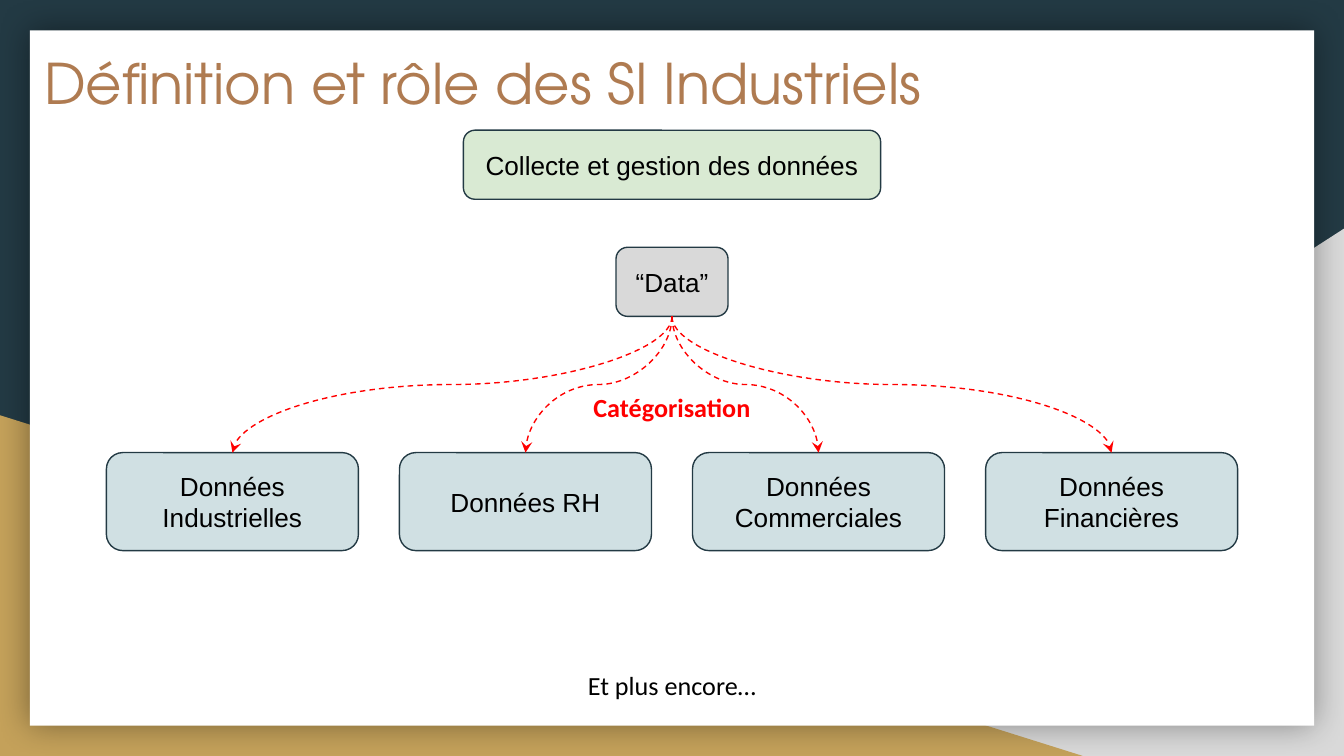
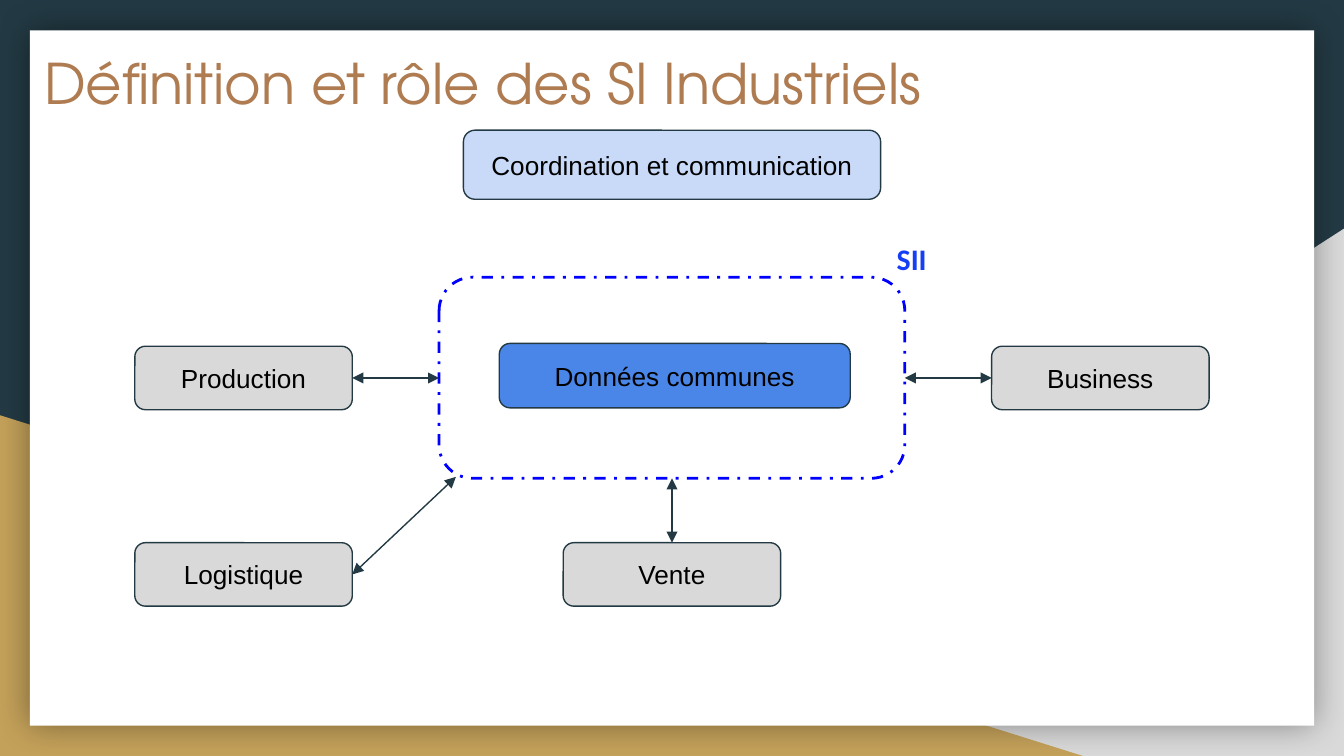
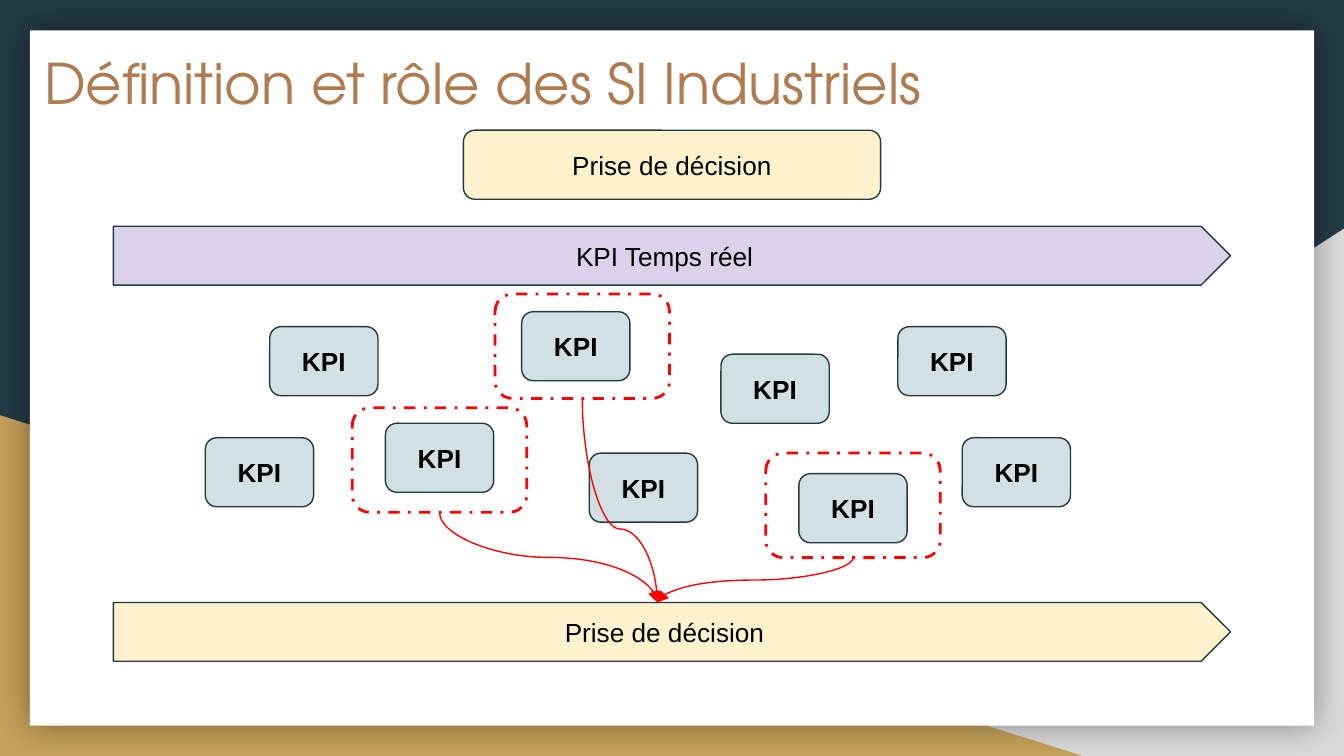
from lxml import etree
from pptx import Presentation
from pptx.dml.color import RGBColor
from pptx.enum import dml, shapes, text
from pptx.oxml.ns import qn
from pptx.util import Pt

NAVY = RGBColor(0x23, 0x3A, 0x44)
GOLD = RGBColor(0xC4, 0xA1, 0x5A)
BROWN = RGBColor(0xAF, 0x7B, 0x51)
GREY = RGBColor(0xD9, 0xD9, 0xD9)
WHITE = RGBColor(0xFF, 0xFF, 0xFF)
BLACK = RGBColor(0x00, 0x00, 0x00)
RED = RGBColor(0xFF, 0x00, 0x00)
BLUE = RGBColor(0x00, 0x00, 0xFF)
LABEL_BLUE = RGBColor(0x16, 0x3E, 0xF5)
CORE_BLUE = RGBColor(0x4A, 0x86, 0xE8)
PALE_BLUE = RGBColor(0xC9, 0xDA, 0xF8)
PALE_TEAL = RGBColor(0xD0, 0xE0, 0xE3)
PALE_GREEN = RGBColor(0xD9, 0xEA, 0xD3)
PALE_YELLOW = RGBColor(0xFF, 0xF2, 0xCC)
PALE_PURPLE = RGBColor(0xD9, 0xD2, 0xE9)

TITLE = "Définition et rôle des SI Industriels"
TITLE_FONT, BOX_FONT, LABEL_FONT = "TeX Gyre Adventor", "Arial", "Calibri"
WIDTH, HEIGHT = 720, 405
MARGIN = 7.2
TOP_SITE, BOTTOM_SITE = 0, 2
RECTANGLE = shapes.MSO_SHAPE.RECTANGLE
ROUNDED = shapes.MSO_SHAPE.ROUNDED_RECTANGLE
PENTAGON = shapes.MSO_SHAPE.PENTAGON
TRIANGLE = shapes.MSO_SHAPE.RIGHT_TRIANGLE
CENTER = text.PP_ALIGN.CENTER


def points(*lengths):
    return [Pt(length) for length in lengths]


def add_xml(parent, tag, **attributes):
    names = {name: str(value) for name, value in attributes.items()}
    return etree.SubElement(parent, qn(tag), names)


def write(shape, words, font, size, color, bold=False, align=CENTER):
    frame = shape.text_frame
    frame.word_wrap = True
    frame.margin_left = frame.margin_right = Pt(MARGIN)
    frame.margin_top = frame.margin_bottom = Pt(MARGIN)
    frame.text = words
    paragraph = frame.paragraphs[0]
    paragraph.alignment = align
    run_font = paragraph.runs[0].font
    run_font.name, run_font.size, run_font.bold = font, Pt(size), bold
    run_font.color.rgb = color


def add_plain(slide, kind, area, fill):
    """Add a filled preset shape without outline or shadow."""
    shape = slide.shapes.add_shape(kind, *points(*area))
    shape.shadow.inherit = False
    shape.fill.solid()
    shape.fill.fore_color.rgb = fill
    shape.line.fill.background()
    return shape


def add_box(slide, area, words, fill, kind=ROUNDED, bold=False):
    box = add_plain(slide, kind, area, fill)
    box.line.color.rgb = NAVY
    box.line.width = Pt(0.75)
    box.text_frame.vertical_anchor = text.MSO_ANCHOR.MIDDLE
    write(box, words, BOX_FONT, 14, BLACK, bold)
    return box


def add_frame(slide, area, color):
    """Add an unfilled rounded frame with a dash-dot outline."""
    frame = slide.shapes.add_shape(ROUNDED, *points(*area))
    frame.shadow.inherit = False
    frame.fill.background()
    frame.line.color.rgb = color
    frame.line.width = Pt(1.5)
    frame.line.dash_style = dml.MSO_LINE.DASH_DOT
    return frame


def add_label(slide, area, words, color, size=14, bold=True, align=CENTER):
    label = slide.shapes.add_textbox(*points(*area))
    write(label, words, LABEL_FONT, size, color, bold, align)
    label.text_frame.auto_size = text.MSO_AUTO_SIZE.SHAPE_TO_FIT_TEXT


def style_connector(connector, color, tail, head=None, dash=None):
    connector.line.color.rgb = color
    connector.line.width = Pt(0.75)
    if dash:
        connector.line.dash_style = dash
    properties = connector.element.spPr
    line = properties.find(qn("a:ln"))
    if head:
        add_xml(line, "a:headEnd", type=head)
    add_xml(line, "a:tailEnd", type=tail)
    add_xml(properties, "a:effectLst")


def add_double_arrow(slide, start, end):
    arrow = slide.shapes.add_connector(shapes.MSO_CONNECTOR.STRAIGHT, *points(*start, *end))
    style_connector(arrow, NAVY, "triangle", head="triangle")


def add_curve(slide, source, target, tail, end_x=None, bend=0.5, dash=None):
    """Join the bottom of source to the top of target, at end_x or its middle."""
    curve = slide.shapes.add_connector(shapes.MSO_CONNECTOR.CURVE, 0, 0, 0, 0)
    curve.begin_connect(source, BOTTOM_SITE)
    curve.end_connect(target, TOP_SITE)
    x1, y1 = source.left + source.width // 2, source.top + source.height
    x2, y2 = end_x or target.left + target.width // 2, target.top
    # The preset runs sideways, so it is laid out horizontally and turned.
    curve.width, curve.height = y2 - y1, abs(x2 - x1)
    curve.left = (x1 + x2 - curve.width) // 2
    curve.top = (y1 + y2 - curve.height) // 2
    transform = curve.element.spPr.xfrm
    rightward = x2 > x1
    transform.set("rot", str((270 if rightward else 90) * 60000))
    transform.set("flipH", str(int(rightward)))
    transform.set("flipV", "0")
    guides = curve.element.spPr.find(qn("a:prstGeom")).get_or_add_avLst()
    add_xml(guides, "a:gd", name="adj1", fmla=f"val {round(bend * 100000)}")
    style_connector(curve, RED, tail, dash=dash)


def add_base_slide(presentation, heading, heading_fill):
    """Add a slide with the coloured corners, white card, title and heading."""
    slide = presentation.slides.add_slide(presentation.slide_layouts[6])
    slide.background.fill.solid()
    slide.background.fill.fore_color.rgb = NAVY
    right_corner = add_plain(slide, TRIANGLE, (282.25, 122.5, 437.75, 282.5), GREY)
    right_corner.element.spPr.xfrm.set("flipH", "1")
    add_plain(slide, TRIANGLE, (0, 222.5, 580, 182.5), GOLD)
    card = add_plain(slide, RECTANGLE, (16, 16.25, 688, 372.5), WHITE)
    effects = card.element.spPr.find(qn("a:effectLst"))
    shadow = add_xml(effects, "a:outerShdw", blurRad=Pt(18), dist=0, dir=0, rotWithShape=0)
    add_xml(add_xml(shadow, "a:srgbClr", val=BLACK), "a:alpha", val=40000)
    title = slide.shapes.add_textbox(*points(16.5, 19, 591, 75))
    write(title, TITLE, TITLE_FONT, 30, BROWN, align=text.PP_ALIGN.LEFT)
    add_box(slide, (248.25, 69.75, 223.5, 37), heading, heading_fill)
    return slide


def build_data_slide(presentation):
    slide = add_base_slide(presentation, "Collecte et gestion des données", PALE_GREEN)
    data = add_box(slide, (330, 132.5, 60, 37), "“Data”", GREY)
    categories = ("Industrielles", "RH", "Commerciales", "Financières")
    for column, category in enumerate(categories):
        area = (57 + 157 * column, 242.5, 135, 52.5)
        box = add_box(slide, area, f"Données {category}", PALE_TEAL)
        add_curve(slide, data, box, "stealth", dash=dml.MSO_LINE.DASH)
    add_label(slide, (247.25, 351.5, 225.5, 31.75), "Et plus encore…", BLACK, bold=False)
    add_label(slide, (286, 202.5, 148, 31.75), "Catégorisation", RED)


def build_coordination_slide(presentation):
    slide = add_base_slide(presentation, "Coordination et communication", PALE_BLUE)
    left, top, width, height = zone = (235.25, 148.5, 249.5, 107.75)
    right, bottom = left + width, top + height
    add_frame(slide, zone, BLUE)
    add_label(slide, (466, 121.75, 37.5, 33.75), "SII", LABEL_BLUE, 16, align=text.PP_ALIGN.RIGHT)

    box_width, box_height = 116.5, 34
    outer_left, outer_right = 72.25, WIDTH - 72.25
    upper, lower = 185.5, 290.75
    departments = (
        ("Production", outer_left, upper),
        ("Business", outer_right - box_width, upper),
        ("Logistique", outer_left, lower),
        ("Vente", (WIDTH - box_width) / 2, lower),
    )
    for name, x, y in departments:
        add_box(slide, (x, y, box_width, box_height), name, GREY)

    middle = upper + box_height / 2
    inner_left = outer_left + box_width
    add_double_arrow(slide, (inner_left, middle), (left, middle))
    add_double_arrow(slide, (WIDTH / 2, lower), (WIDTH / 2, bottom))
    add_double_arrow(slide, (outer_right - box_width, middle), (right, middle))
    add_double_arrow(slide, (inner_left, lower + box_height / 2), (244.25, 255.5))
    add_box(slide, (267.5, 184, 188, 34.5), "Données communes", CORE_BLUE)


def build_decision_slide(presentation):
    slide = add_base_slide(presentation, "Prise de décision", PALE_YELLOW)
    bar_left, bar_width, bar_height = 60.75, 598.5, 31.5
    add_box(slide, (bar_left, 121.25, bar_width, bar_height), "KPI Temps réel", PALE_PURPLE, PENTAGON)
    kpi_places = (
        (144.5, 175), (206.5, 226.75), (279.5, 167), (315.75, 242.75), (386.25, 189.75),
        (428, 253.75), (481, 175), (110, 234.5), (515.5, 234.5),
    )
    for place in kpi_places:
        add_box(slide, (*place, 58, 37), "KPI", PALE_TEAL, bold=True)
    decision = add_box(
        slide, (bar_left, 322.75, bar_width, bar_height), "Prise de décision", PALE_YELLOW, PENTAGON
    )
    # The top site of the bar is the middle of its straight edge.
    edge_middle = Pt(bar_left + (bar_width - bar_height / 2) / 2)
    selections = ((188.75, 218.5, 0.5), (265.25, 157.5, 0.64), (410.25, 242.75, 0.5))
    for x, y, bend in selections:
        frame = add_frame(slide, (x, y, 93.5, 56), RED)
        add_curve(slide, frame, decision, "triangle", edge_middle, bend)


def main():
    presentation = Presentation()
    presentation.slide_width, presentation.slide_height = points(WIDTH, HEIGHT)
    build_data_slide(presentation)
    build_coordination_slide(presentation)
    build_decision_slide(presentation)
    presentation.save("out.pptx")


if __name__ == "__main__":
    main()
